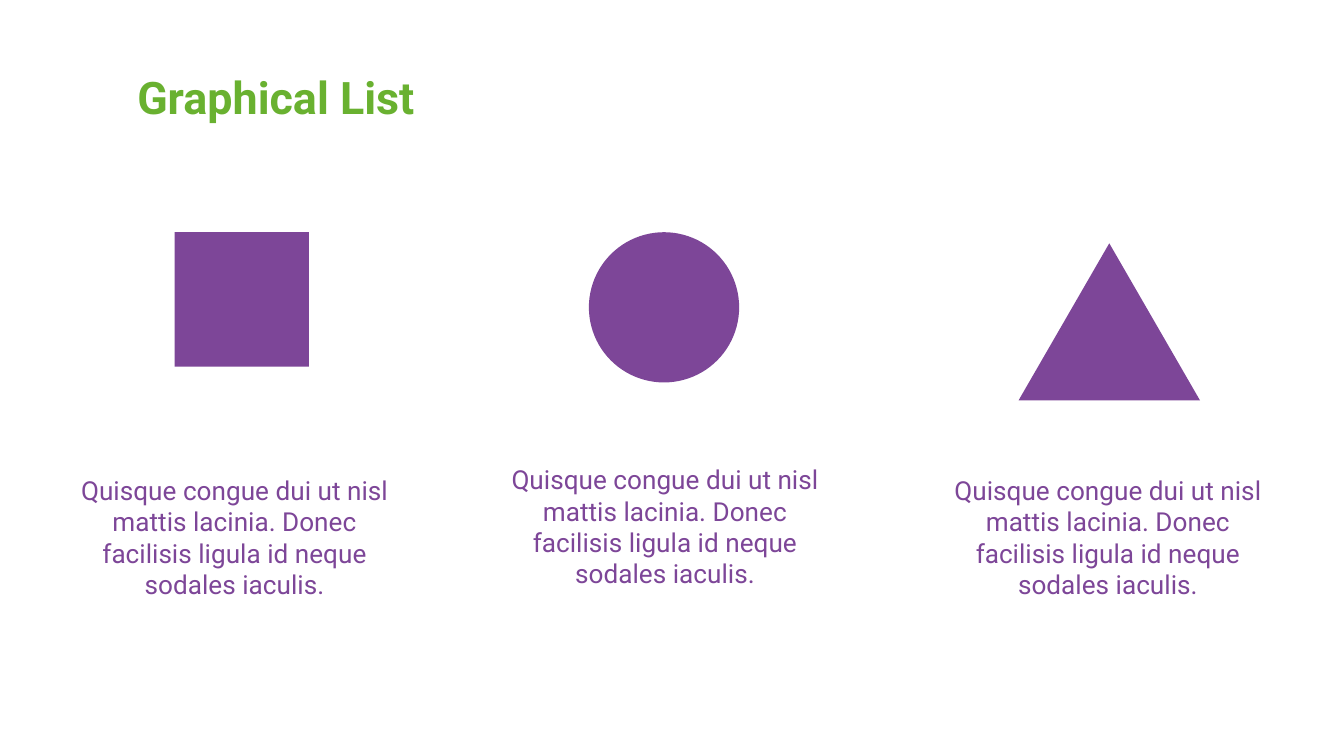
from pptx import Presentation
from pptx.dml.color import RGBColor
from pptx.enum.shapes import MSO_SHAPE
from pptx.enum.text import MSO_ANCHOR, MSO_AUTO_SIZE, PP_ALIGN
from pptx.util import Cm, Pt

SQUARE, CIRCLE, TRIANGLE = MSO_SHAPE.RECTANGLE, MSO_SHAPE.OVAL, MSO_SHAPE.ISOSCELES_TRIANGLE
LEFT, CENTER = PP_ALIGN.LEFT, PP_ALIGN.CENTER
TOP = MSO_ANCHOR.TOP
NO_AUTOFIT = MSO_AUTO_SIZE.NONE

FONT = "Roboto"
GREEN = "69B130"
PURPLE = "7D4698"
TITLE_ONLY = 5

CAPTION = "Quisque congue dui ut nisl mattis lacinia. Donec facilisis ligula id neque sodales iaculis."
CAPTION_HEIGHT = 3.23

# Item box (left, top, width, height), icon preset, icon place within the box
ITEMS = [
    ((1.02, 4.39, 6.83, 7.68), SQUARE, (2.28, 0, 2.54, 2.54)),
    ((9.14, 4.39, 6.86, 7.48), CIRCLE, (1.99, 0, 2.84, 2.84)),
    ((17.5, 4.39, 6.88, 7.68), TRIANGLE, (1.75, 0.21, 3.43, 2.97)),
]


def color(hex_code):
    return RGBColor.from_string(hex_code)


def set_text(frame, text, size, hex_code, align, bold=False):
    frame.text = text
    frame.word_wrap = True
    frame.auto_size = NO_AUTOFIT
    frame.vertical_anchor = TOP
    paragraph = frame.paragraphs[0]
    paragraph.alignment = align
    font = paragraph.font
    font.name, font.size, font.bold = FONT, Pt(size), bold
    font.color.rgb = color(hex_code)


def place_title(slide, box):
    title = slide.shapes.title
    title.left, title.top, title.width, title.height = map(Cm, box)
    set_text(title.text_frame, "Graphical List", 24, GREEN, LEFT, bold=True)


def add_item(slide, box, preset, icon_place):
    """Place an icon in the box and its caption along the bottom edge."""
    left, top, width, height = box
    dx, dy, icon_width, icon_height = icon_place

    icon = slide.shapes.add_shape(
        preset, Cm(left + dx), Cm(top + dy), Cm(icon_width), Cm(icon_height))
    icon.shadow.inherit = False
    icon.fill.solid()
    icon.fill.fore_color.rgb = color(PURPLE)
    icon.line.fill.background()

    caption = slide.shapes.add_textbox(
        Cm(left), Cm(top + height - CAPTION_HEIGHT), Cm(width), Cm(CAPTION_HEIGHT))
    set_text(caption.text_frame, CAPTION, 14, PURPLE, CENTER)


def main():
    deck = Presentation()
    deck.slide_width, deck.slide_height = Cm(25.4), Cm(14.29)
    slide = deck.slides.add_slide(deck.slide_layouts[TITLE_ONLY])

    place_title(slide, (2.34, 1.19, 14.6, 1.27))
    for box, preset, icon_place in ITEMS:
        add_item(slide, box, preset, icon_place)

    deck.save("out.pptx")


if __name__ == "__main__":
    main()
